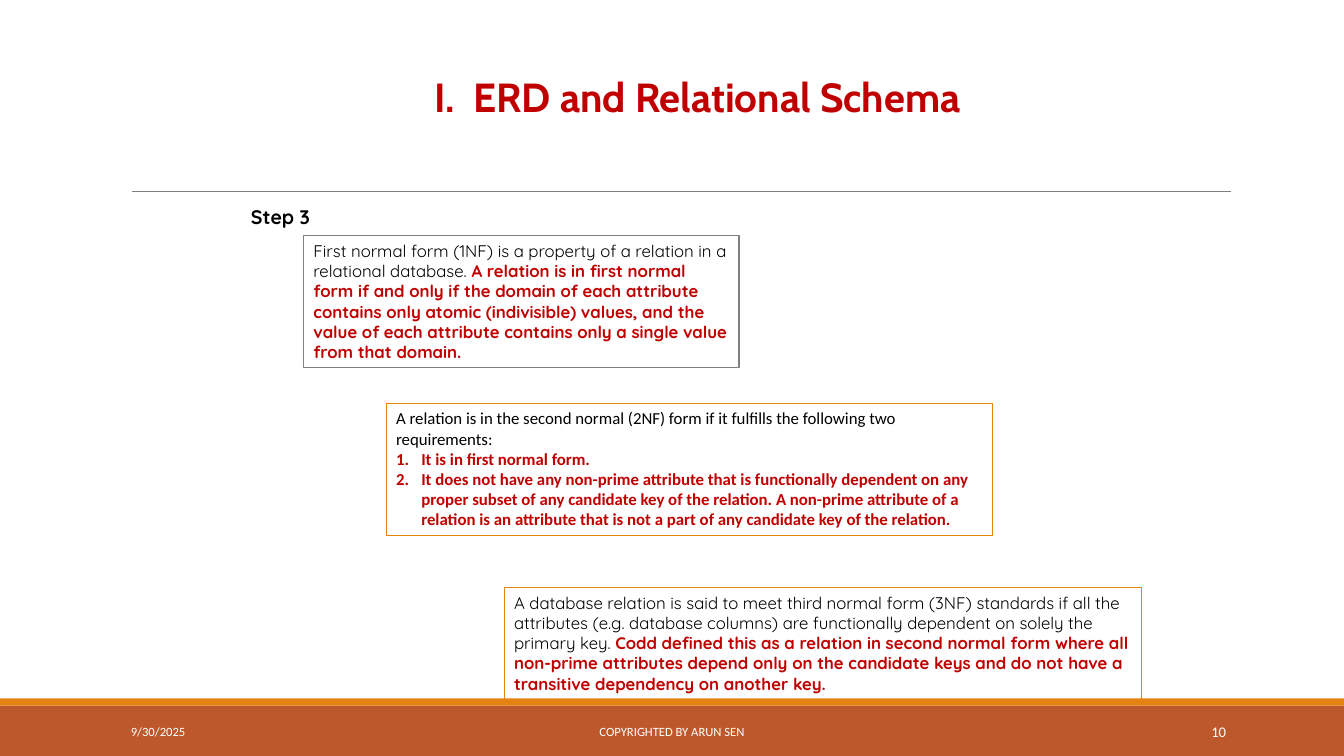
from lxml import etree
from pptx import Presentation
from pptx.dml.color import RGBColor
from pptx.enum.shapes import MSO_CONNECTOR, MSO_SHAPE
from pptx.enum.text import MSO_ANCHOR, MSO_AUTO_SIZE, PP_ALIGN
from pptx.oxml.ns import qn
from pptx.util import Inches, Pt

RECT, LINE = MSO_SHAPE.RECTANGLE, MSO_CONNECTOR.STRAIGHT
TOP, MID = MSO_ANCHOR.TOP, MSO_ANCHOR.MIDDLE
GROW, FIXED = MSO_AUTO_SIZE.SHAPE_TO_FIT_TEXT, MSO_AUTO_SIZE.NONE
LEFT, CENTER, RIGHT = PP_ALIGN.LEFT, PP_ALIGN.CENTER, PP_ALIGN.RIGHT
RED, BLACK, WHITE = "C00000", "000000", "FFFFFF"
ORANGE, RUST, GRAY = "E48312", "BD582C", "808080"

FIRST = [[
    "First normal form (1NF) is a property of a relation in a relational database. ",
    "A relation is in first normal form if and only if the domain of each attribute "
    "contains only atomic (indivisible) values, and the value of each attribute "
    "contains only a single value from that domain."]]
SECOND = [
    ["A relation is in the second normal (2NF) form if it fulfills the following "
     "two requirements:"],
    ["", "It is in first normal form."],
    ["", "It does not have any non-prime attribute that is functionally dependent on "
     "any proper subset of any candidate key of the relation. A non-prime attribute "
     "of a relation is an attribute that is not a part of any candidate key of the "
     "relation."]]
THIRD = [[
    "A database relation is said to meet third normal form (3NF) standards if all the "
    "attributes (e.g. database columns) are functionally dependent on solely the "
    "primary key. ",
    "Codd defined this as a relation in second normal form where all non-prime "
    "attributes depend only on the candidate keys and do not have a transitive "
    "dependency on another key."]]


def color(code):
    """Turn a hex string into a colour."""
    return RGBColor.from_string(code)


def add_run(para, text, size=12, font="Quicksand", fill=BLACK, bold=False):
    """Add one formatted run to a paragraph."""
    run = para.add_run()
    run.text = text
    run.font.size, run.font.name, run.font.bold = Pt(size), font, bold
    run.font.color.rgb = color(fill)


def set_frame(frame, anchor=TOP, fit=FIXED):
    """Wrap and anchor a text frame."""
    frame.word_wrap, frame.auto_size, frame.vertical_anchor = True, fit, anchor


def add_label(slide, box, text, align=LEFT, anchor=MID, **style):
    """Place a line of text in a box."""
    frame = slide.shapes.add_textbox(*map(Inches, box)).text_frame
    set_frame(frame, anchor)
    para = frame.paragraphs[0]
    para.alignment = align
    add_run(para, text, **style)


def add_rect(slide, box, fill=None, edge=None):
    """Draw a rectangle with an optional fill and edge."""
    rect = slide.shapes.add_shape(RECT, *map(Inches, box))
    rect.shadow.inherit = False
    if fill:
        rect.fill.solid()
        rect.fill.fore_color.rgb = color(fill)
    else:
        rect.fill.background()
    if edge:
        rect.line.color.rgb = color(edge)
        rect.line.width = Pt(0.75)
    else:
        rect.line.fill.background()
    return rect


def add_number(para):
    """Number a paragraph with a hanging indent."""
    props = para._p.get_or_add_pPr()
    props.set("marL", str(Inches(0.25)))
    props.set("indent", str(-Inches(0.25)))
    etree.SubElement(props, qn("a:buFont"), typeface="+mj-lt")
    etree.SubElement(props, qn("a:buAutoNum"), type="arabicPeriod")


def add_card(slide, box, paras, edge=ORANGE, font="Quicksand"):
    """Draw a framed definition whose key part is bold red."""
    frame = add_rect(slide, box, edge=edge).text_frame
    set_frame(frame, fit=GROW)
    for i, (plain, *key) in enumerate(paras):
        para = frame.add_paragraph() if i else frame.paragraphs[0]
        para.alignment = LEFT
        if plain:
            add_run(para, plain, font=font)
        else:
            add_number(para)
        for text in key:
            add_run(para, text, font=font, fill=RED, bold=True)


def add_head(slide, box):
    """Place the title and the rule below it."""
    x, y, w, h = box
    rule = slide.shapes.add_connector(
        LINE, *map(Inches, (x, y + h, x + w, y + h)))
    rule.line.color.rgb, rule.line.width = color(GRAY), Pt(0.5)
    etree.SubElement(rule._element.spPr, qn("a:effectLst"))
    add_label(slide, (x + 1.36, y, 8.5, 1.25), "I.  ERD and Relational Schema",
              CENTER, size=29, font="Cabin", fill=RED, bold=True)


def add_foot(slide, box):
    """Draw the footer bands with date, owner and page."""
    x, y, w, h = box
    add_rect(slide, box, RUST)
    add_rect(slide, (x, y - 0.07, w, 0.07), ORANGE)
    for left, wide, text, align, size in (
            (1.2, 2.7, "9/30/2025", LEFT, 9),
            (4.03, 5.27, "COPYRIGHTED BY ARUN SEN", CENTER, 9),
            (10.83, 1.43, "10", RIGHT, 10.5)):
        add_label(slide, (x + left, y + 0.06, wide, 0.4), text, align,
                  size=size, font="Calibri", fill=WHITE)


def add_body(slide, box):
    """Place the step label and the three stepped definitions."""
    x, y, w, h = box
    add_label(slide, (x, y, 1.09, 0.33), "Step 3", anchor=TOP, size=14, bold=True)
    add_card(slide, (x + 0.62, y + 0.36, 4.32, 1.31), FIRST, GRAY)
    add_card(slide, (x + 1.44, y + 2.02, 6.01, 1.31), SECOND, font="Calibri")
    add_card(slide, (x + w - 6.32, y + h - 1.11, 6.32, 1.11), THIRD)


def main():
    """Build and save the slide."""
    deck = Presentation()
    deck.slide_width, deck.slide_height = Inches(13.33), Inches(7.5)
    slide = deck.slides.add_slide(deck.slide_layouts[6])
    add_foot(slide, (0, 7, 13.33, 0.5))
    add_head(slide, (1.31, 0.33, 10.9, 1.57))
    add_body(slide, (2.39, 1.98, 8.93, 4.96))
    deck.save("out.pptx")


if __name__ == "__main__":
    main()
